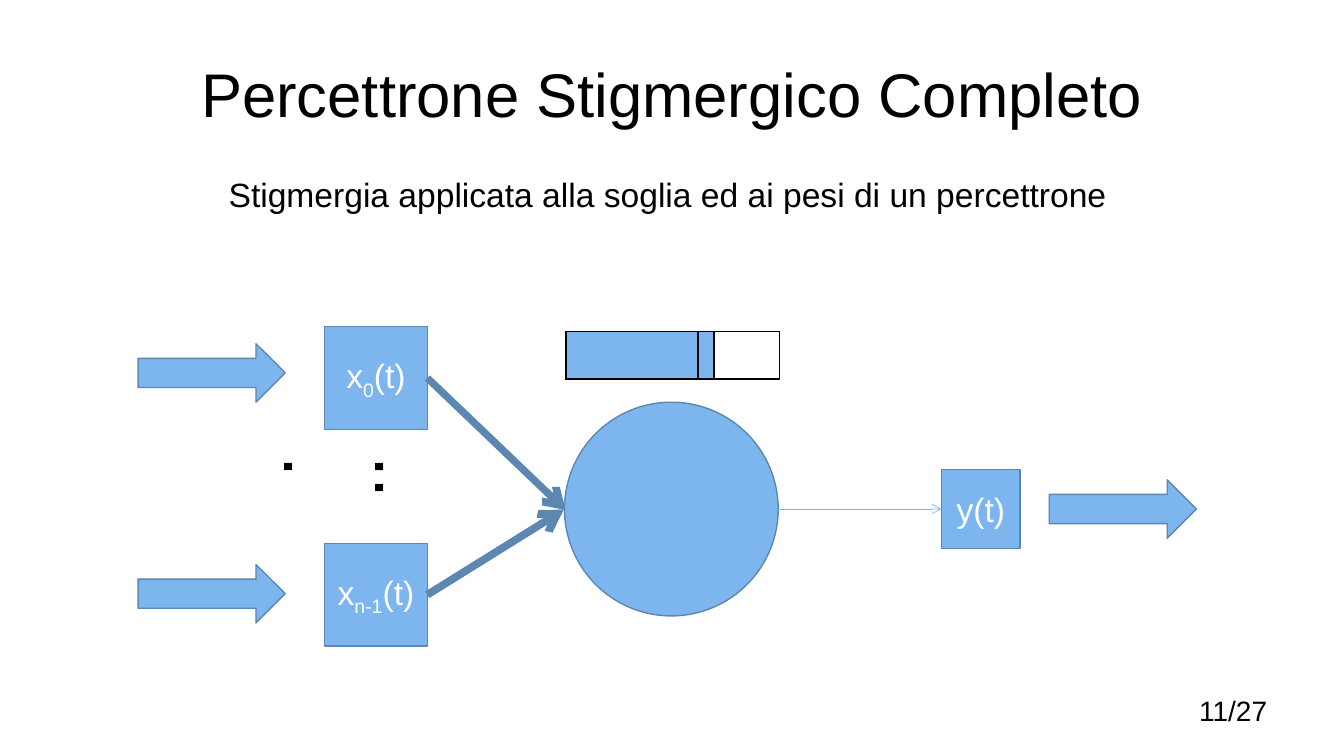
from dataclasses import dataclass

from lxml import etree
from pptx import Presentation
from pptx.dml.color import RGBColor
from pptx.enum.shapes import MSO_CONNECTOR, MSO_SHAPE
from pptx.enum.text import MSO_ANCHOR, MSO_AUTO_SIZE, PP_ALIGN
from pptx.oxml.ns import qn
from pptx.util import Emu, Inches, Pt

RECTANGLE, ELLIPSE, ARROW = MSO_SHAPE.RECTANGLE, MSO_SHAPE.OVAL, MSO_SHAPE.RIGHT_ARROW
STRAIGHT = MSO_CONNECTOR.STRAIGHT
LEFT, CENTER, RIGHT = PP_ALIGN.LEFT, PP_ALIGN.CENTER, PP_ALIGN.RIGHT
TOP, MIDDLE = MSO_ANCHOR.TOP, MSO_ANCHOR.MIDDLE
GROW = MSO_AUTO_SIZE.SHAPE_TO_FIT_TEXT
LEFT_SIDE, RIGHT_SIDE = 1, 3

CELL = Inches(0.1)  # one column or row of the grid
COLUMNS, ROWS = 133.33, 75


@dataclass(frozen=True)
class Theme:
    font: str = "Arial"
    ink: str = "000000"
    paper: str = "FFFFFF"
    sky: str = "7DB6EF"
    steel: str = "5C87B1"
    title: int = 44
    body: int = 24
    page_number: int = 20
    dots: int = 54
    outline: float = 1
    hairline: float = 0.5


THEME = Theme()


@dataclass(frozen=True)
class Area:
    """A rectangle in grid columns and rows."""
    column: float
    row: float
    columns: float
    rows: float

    def lengths(self) -> list[Emu]:
        return [cells(n) for n in (self.column, self.row, self.columns, self.rows)]


@dataclass(frozen=True)
class Span:
    text: str
    subscript: bool = False


@dataclass(frozen=True)
class Neuron:
    """A labelled square, placed by its left column and middle row."""
    column: float
    middle: float
    side: float
    label: tuple[Span, ...]


@dataclass(frozen=True)
class Link:
    """An arrow from the right side of an input to a point near the perceptron."""
    source: int
    column: float
    row: float
    color: str
    width: float


INPUTS = (
    Neuron(32.2, 37.5, 10.2, (Span("x"), Span("0", True), Span("(t)"))),
    Neuron(32.2, 59, 10.2, (Span("x"), Span("n-1", True), Span("(t)"))),
)
OUTPUT = Neuron(93.4, 50.5, 7.8, (Span("y(t)"),))
PERCEPTRON = Area(56, 39.9, 21.2, 21.2)
THRESHOLD = Area(56.15, 32.9, 21.2, 4.7)
THRESHOLD_LEVELS = (10.6, 14.7, 13.1)
LINKS = (
    Link(0, 56, 50.5, THEME.sky, THEME.hairline),
    Link(1, 56, 50.5, THEME.sky, THEME.hairline),
    Link(0, 56.1, 50.6, THEME.steel, 5.25),
    Link(0, 55.9, 50.3, THEME.steel, 2.5),
    Link(1, 55.9, 50.6, THEME.steel, 5.5),
)
FLOW_ARROWS = ((13.7, 37), (13.7, 58.9), (104.1, 50.5))  # left column, middle row
FLOW_COLUMNS, FLOW_ROWS = 14.6, 5.8


def cells(count: float) -> Emu:
    return Emu(round(count * CELL))


def rgb(color: str) -> RGBColor:
    return RGBColor.from_string(color)


def write_text(shape, spans: tuple[Span, ...], *, size: float, color: str = THEME.ink,
               align=LEFT, anchor=TOP) -> None:
    frame = shape.text_frame
    frame.word_wrap = True
    frame.vertical_anchor = anchor
    para = frame.paragraphs[0]
    para.alignment = align
    for span in spans:
        run = para.add_run()
        run.text = span.text
        run.font.name = THEME.font
        run.font.size = Pt(size)
        run.font.color.rgb = rgb(color)
        if span.subscript:
            run.font._element.set("baseline", "-25000")


def add_text(page, area: Area, text: str, **text_format):
    box = page.shapes.add_textbox(*area.lengths())
    write_text(box, (Span(text),), **text_format)
    return box


def add_figure(page, kind, area: Area, *, fill: str = THEME.sky, line: str = THEME.steel):
    shape = page.shapes.add_shape(kind, *area.lengths())
    shape.shadow.inherit = False
    shape.fill.solid()
    shape.fill.fore_color.rgb = rgb(fill)
    shape.line.color.rgb = rgb(line)
    shape.line.width = Pt(THEME.outline)
    return shape


def add_neuron(page, neuron: Neuron):
    top = neuron.middle - neuron.side / 2
    square = add_figure(page, RECTANGLE, Area(neuron.column, top, neuron.side, neuron.side))
    write_text(square, neuron.label, size=THEME.body, color=THEME.paper,
               align=CENTER, anchor=MIDDLE)
    return square


def add_arrow(page, start: tuple[float, float], end: tuple[float, float],
              color: str, width: float):
    arrow = page.shapes.add_connector(STRAIGHT, *map(cells, start + end))
    arrow.line.color.rgb = rgb(color)
    arrow.line.width = Pt(width)
    etree.SubElement(arrow.line._get_or_add_ln(), qn("a:tailEnd"), type="arrow")
    etree.SubElement(arrow._element.spPr, qn("a:effectLst"))
    return arrow


def add_threshold(page) -> None:
    """Draw the threshold gauge: an empty frame with nested levels."""
    add_figure(page, RECTANGLE, THRESHOLD, fill=THEME.paper, line=THEME.ink)
    for level in THRESHOLD_LEVELS:
        area = Area(THRESHOLD.column, THRESHOLD.row, level, THRESHOLD.rows)
        add_figure(page, RECTANGLE, area, line=THEME.ink)


def add_network(page) -> None:
    add_figure(page, ELLIPSE, PERCEPTRON)
    inputs = [add_neuron(page, neuron) for neuron in INPUTS]
    output = add_neuron(page, OUTPUT)

    for link in LINKS:
        neuron = INPUTS[link.source]
        start = (neuron.column + neuron.side, neuron.middle)
        arrow = add_arrow(page, start, (link.column, link.row), link.color, link.width)
        arrow.begin_connect(inputs[link.source], RIGHT_SIDE)

    edge = PERCEPTRON.column + PERCEPTRON.columns
    arrow = add_arrow(page, (edge, OUTPUT.middle), (OUTPUT.column, OUTPUT.middle),
                      THEME.sky, THEME.hairline)
    arrow.end_connect(output, LEFT_SIDE)

    for column, middle in FLOW_ARROWS:
        add_figure(page, ARROW, Area(column, middle - FLOW_ROWS / 2, FLOW_COLUMNS, FLOW_ROWS))


def main() -> None:
    deck = Presentation()
    deck.slide_width, deck.slide_height = cells(COLUMNS), cells(ROWS)
    page = deck.slides.add_slide(deck.slide_layouts[6])

    add_text(page, Area(6.7, 3, 120, 12.5), "Percettrone Stigmergico Completo",
             size=THEME.title, align=CENTER, anchor=MIDDLE)
    add_text(page, Area(21.7, 16.8, 89.8, 5.7),
             "Stigmergia applicata alla soglia ed ai pesi di un percettrone", size=THEME.body)
    add_threshold(page)
    add_network(page)
    dots = add_text(page, Area(34.1, 44.3, 11.1, 7.6), "...", size=THEME.dots)
    dots.text_frame.auto_size = GROW
    dots.text_frame._txBody.bodyPr.set("vert", "eaVert")
    add_text(page, Area(95.6, 68.3, 31.1, 5.2), "11/27", size=THEME.page_number, align=RIGHT)

    deck.save("out.pptx")


if __name__ == "__main__":
    main()
